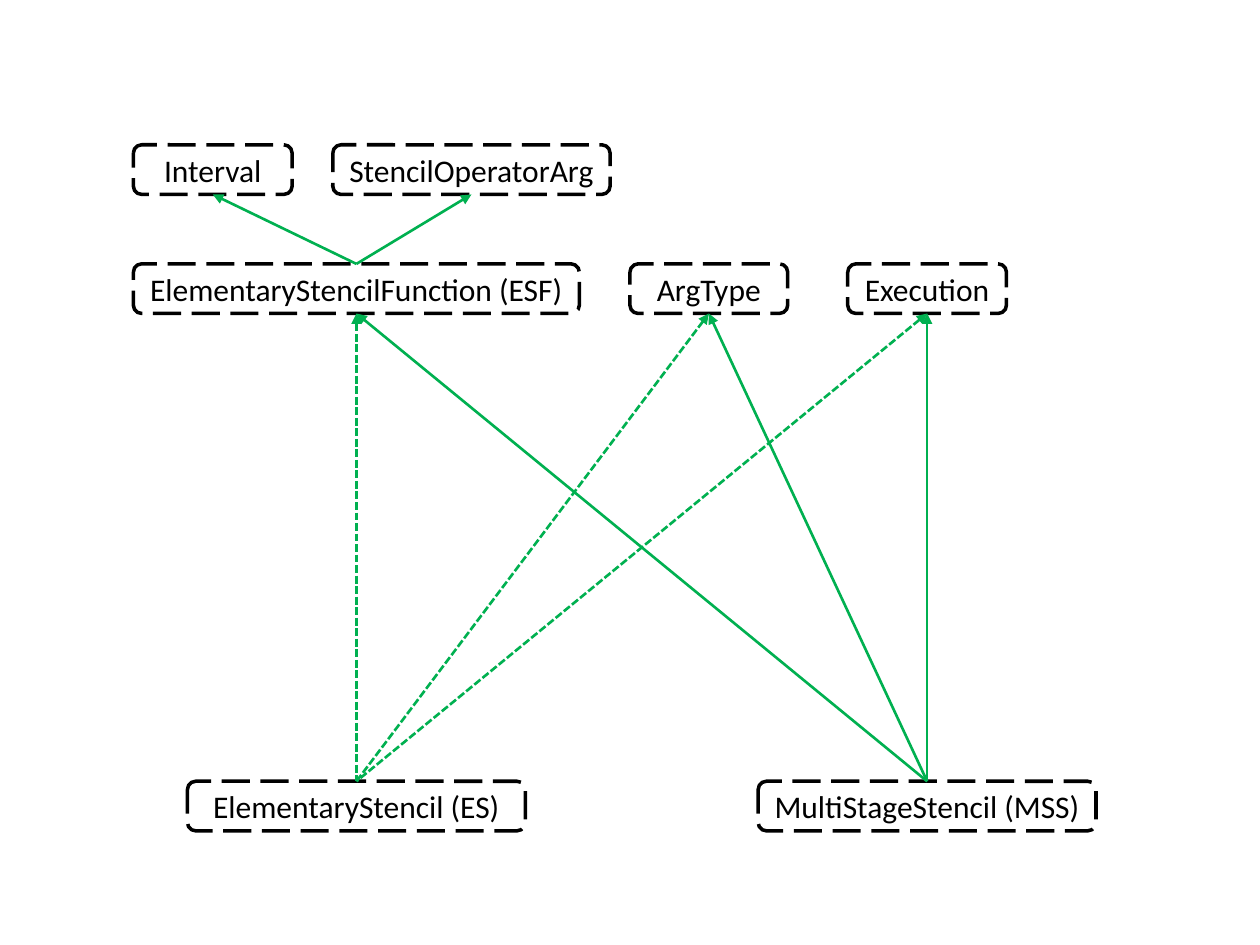
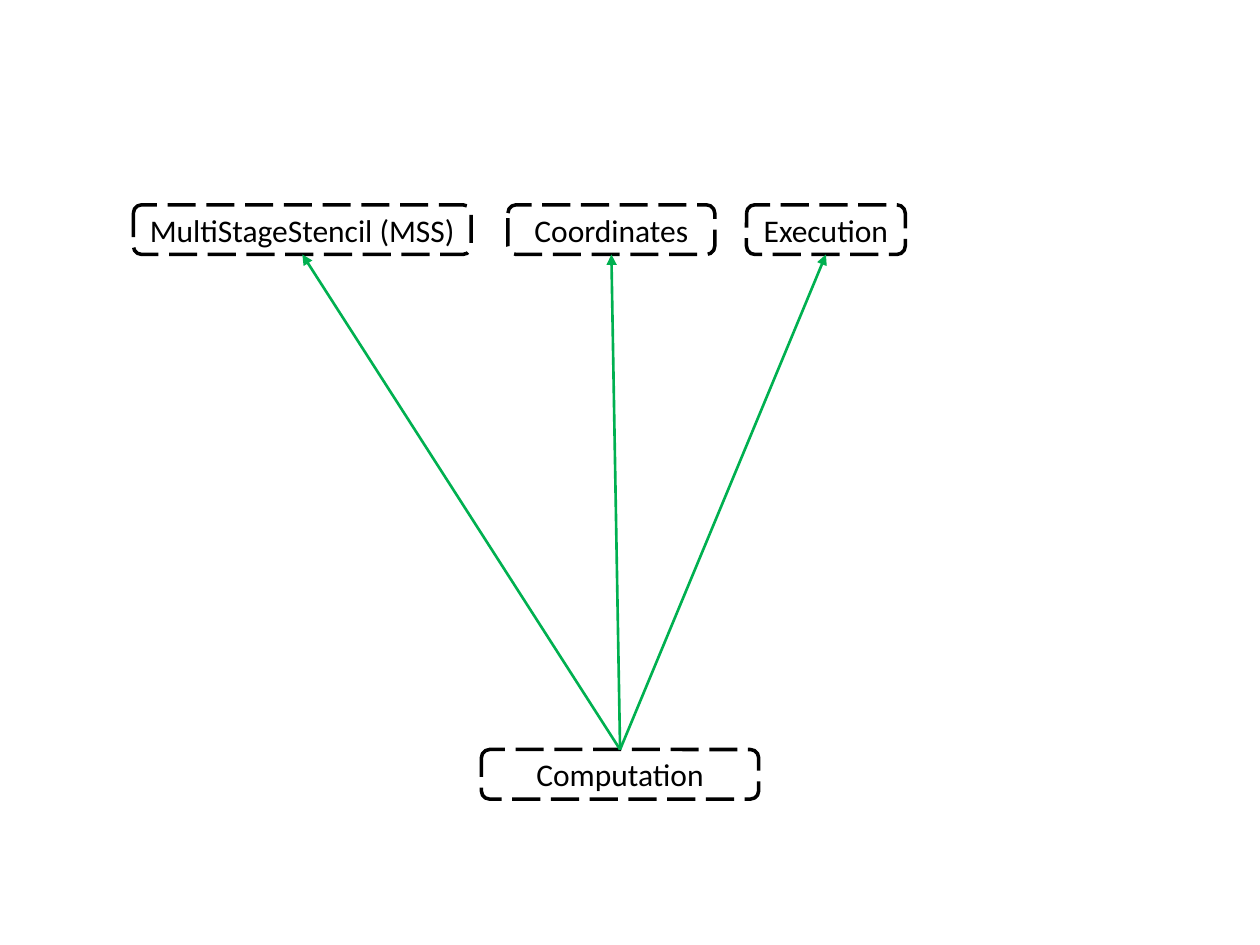
"""Two dependency diagrams of stencil classes."""
from dataclasses import dataclass

from lxml import etree
from pptx import Presentation
from pptx.dml.color import RGBColor
from pptx.enum.dml import MSO_LINE
from pptx.enum.shapes import MSO_CONNECTOR, MSO_SHAPE
from pptx.enum.text import MSO_ANCHOR, PP_ALIGN
from pptx.oxml.ns import qn
from pptx.util import Cm, Pt

ROUNDED = MSO_SHAPE.ROUNDED_RECTANGLE
STRAIGHT = MSO_CONNECTOR.STRAIGHT
LONG_DASH = MSO_LINE.LONG_DASH
SHORT_DASH = MSO_LINE.SQUARE_DOT
MIDDLE = MSO_ANCHOR.MIDDLE
CENTER = PP_ALIGN.CENTER
TOP_SITE, BOTTOM_SITE = 0, 2
BLANK_LAYOUT = 6


@dataclass(frozen=True)
class Theme:
    """Colours, type and line weights of both diagrams."""
    ink: RGBColor = RGBColor(0, 0, 0)
    arrow: RGBColor = RGBColor(0x00, 0xB0, 0x50)
    font: str = "Calibri"
    label_size: Pt = Pt(18)
    border_width: Pt = Pt(2)
    arrow_width: Pt = Pt(1.5)
    class_height: Cm = Cm(1)


@dataclass(frozen=True)
class Area:
    """The box in which a diagram is laid out."""
    left: Cm
    top: Cm
    height: Cm


THEME = Theme()
MSS = "MultiStageStencil (MSS)"
ES = "ElementaryStencil (ES)"
ESF = "ElementaryStencilFunction (ESF)"
CLASS_WIDTHS = {
    MSS: Cm(6.81), ES: Cm(6.81), ESF: Cm(8.99),
    "Interval": Cm(3.2), "StencilOperatorArg": Cm(5.59),
    "ArgType": Cm(3.18), "Execution": Cm(3.2),
    "Coordinates": Cm(4.17), "Computation": Cm(5.59),
}


def add_class(slide, label, center, top):
    """Draw one dashed class box around a horizontal centre."""
    width = CLASS_WIDTHS[label]
    node = slide.shapes.add_shape(
        ROUNDED, center - width // 2, top, width, THEME.class_height)
    node.shadow.inherit = False
    node.fill.background()
    node.line.color.rgb = THEME.ink
    node.line.width = THEME.border_width
    node.line.dash_style = LONG_DASH
    frame = node.text_frame
    frame.word_wrap = False
    frame.vertical_anchor = MIDDLE
    frame.text = label
    paragraph = frame.paragraphs[0]
    paragraph.alignment = CENTER
    paragraph.font.name = THEME.font
    paragraph.font.size = THEME.label_size
    paragraph.font.color.rgb = THEME.ink
    return node


def add_row(slide, area, offset, lefts):
    """Draw a row of classes, given their left edges within the area."""
    return {
        label: add_class(slide, label,
                         area.left + left + CLASS_WIDTHS[label] // 2,
                         area.top + offset)
        for label, left in lefts.items()
    }


def add_user(slide, area, label, center):
    """Draw a class that stands on the bottom edge of the area."""
    return add_class(slide, label, center,
                     area.top + area.height - THEME.class_height)


def add_arrows(slide, used_classes, user, dashed=False):
    """Link a class to each of the classes it uses, heads at the used ones."""
    for used in used_classes:
        arrow = slide.shapes.add_connector(STRAIGHT, 0, 0, 0, 0)
        arrow.begin_connect(used, BOTTOM_SITE)
        arrow.end_connect(user, TOP_SITE)
        arrow.line.color.rgb = THEME.arrow
        arrow.line.width = THEME.arrow_width
        if dashed:
            arrow.line.dash_style = SHORT_DASH
        properties = arrow._element.spPr
        etree.SubElement(properties.find(qn("a:ln")), qn("a:headEnd"),
                         type="triangle")
        etree.SubElement(properties, qn("a:effectLst"))


def add_stencil_diagram(slide, area):
    """Show what the elementary and the multi-stage stencils use."""
    function_parts = add_row(slide, area, Cm(0), {
        "Interval": Cm(0), "StencilOperatorArg": Cm(4.02)})
    stencil_parts = add_row(slide, area, Cm(2.4), {
        ESF: Cm(0), "ArgType": Cm(10.01), "Execution": Cm(14.4)})
    add_arrows(slide, function_parts.values(), stencil_parts[ESF])
    for label, above, dashed in ((ES, ESF, True), (MSS, "Execution", False)):
        column = stencil_parts[above]
        stencil = add_user(slide, area, label, column.left + column.width // 2)
        add_arrows(slide, stencil_parts.values(), stencil, dashed)


def add_computation_diagram(slide, area):
    """Show what a computation uses."""
    parts = add_row(slide, area, Cm(0), {
        MSS: Cm(0), "Coordinates": Cm(7.55), "Execution": Cm(12.36)})
    computation = add_user(slide, area, "Computation", area.left + Cm(9.81))
    add_arrows(slide, parts.values(), computation)


def main():
    """Build both slides and save them."""
    deck = Presentation()
    deck.slide_width, deck.slide_height = Cm(25.4), Cm(19.05)
    diagrams = (
        (add_stencil_diagram, Area(Cm(2.69), Cm(2.92), Cm(13.83))),
        (add_computation_diagram, Area(Cm(2.69), Cm(4.13), Cm(11.98))),
    )
    for add_diagram, area in diagrams:
        slide = deck.slides.add_slide(deck.slide_layouts[BLANK_LAYOUT])
        add_diagram(slide, area)
    deck.save("out.pptx")


main()
